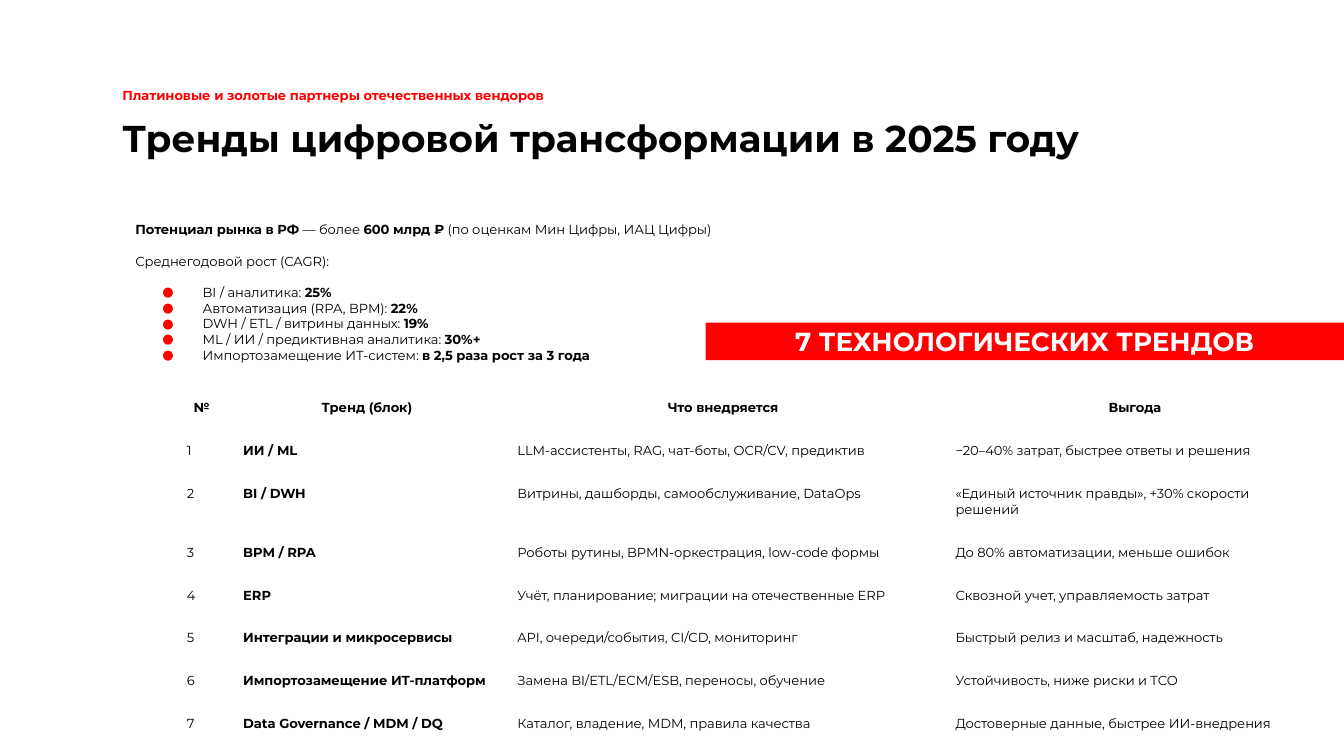
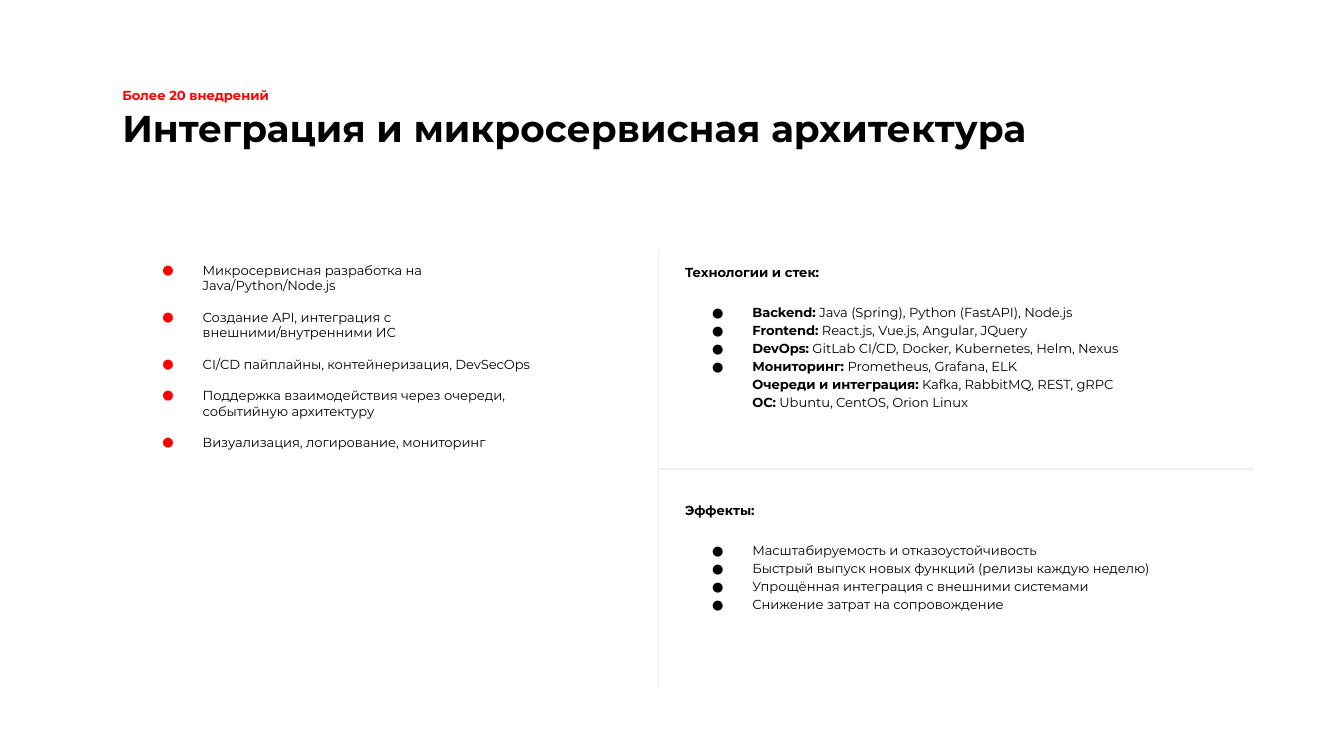
from lxml import etree
from pptx import Presentation
from pptx.dml.color import RGBColor
from pptx.enum.shapes import MSO_CONNECTOR, MSO_SHAPE
from pptx.enum.text import MSO_ANCHOR, MSO_AUTO_SIZE, PP_ALIGN
from pptx.oxml.ns import qn
from pptx.util import Inches, Pt

TOP, MIDDLE = MSO_ANCHOR.TOP, MSO_ANCHOR.MIDDLE
LEFT, CENTER = PP_ALIGN.LEFT, PP_ALIGN.CENTER
FIT_NONE = MSO_AUTO_SIZE.NONE
RECTANGLE = MSO_SHAPE.RECTANGLE
STRAIGHT = MSO_CONNECTOR.STRAIGHT

COLORS = {"text": "000000", "accent": "FF0000", "white": "FFFFFF", "rule": "EFEFEF"}
FONT = "Montserrat"
BODY_SIZE = 7
BLANK_LINE = 8.4
BODY_INSETS = (0.1, 0.1, 0.1, 0.1)
MARGIN = 0.91


def prepare_frame(shape, insets, anchor=TOP):
    frame = shape.text_frame
    frame.word_wrap = True
    frame.auto_size = FIT_NONE
    frame.vertical_anchor = anchor
    frame.margin_left, frame.margin_top, frame.margin_right, frame.margin_bottom = map(Inches, insets)
    return frame


def write(para, text, size=BODY_SIZE, color="text", bullet=None, align=LEFT, spacing=None, before=0, after=0):
    """Fill a paragraph; ** toggles bold and a newline is a line break."""
    para.alignment = align
    para.line_spacing = spacing
    para.space_before, para.space_after = Pt(before), Pt(after)
    if bullet:
        props = para._p.get_or_add_pPr()
        props.set("marL", str(Inches(0.5)))
        props.set("indent", str(Inches(-0.3)))
        bullet_color = etree.SubElement(props, qn("a:buClr"))
        etree.SubElement(bullet_color, qn("a:srgbClr"), val=COLORS[bullet])
        etree.SubElement(props, qn("a:buFont"), typeface=FONT)
        etree.SubElement(props, qn("a:buChar"), char="●")
    for part_number, part in enumerate(text.split("**")):
        for line_number, line in enumerate(part.split("\n")):
            if line_number:
                para.add_line_break()
            if line:
                span = para.add_run()
                span.text = line
                span.font.name = FONT
                span.font.size = Pt(size)
                span.font.bold = part_number % 2 == 1
                span.font.color.rgb = RGBColor.from_string(COLORS[color])


deck = Presentation()
deck.slide_width = Inches(10)
deck.slide_height = deck.slide_width * 9 // 16

# Headings shared by both slides
pages = []
for heading, kicker, title_height, title_anchor in [
    ("Тренды цифровой трансформации в 2025 году",
     "Платиновые и золотые партнеры отечественных вендоров", 0.56, MIDDLE),
    ("Интеграция и микросервисная архитектура", "Более 20 внедрений", 0.93, TOP),
]:
    page = deck.slides.add_slide(deck.slide_layouts[5])
    title = page.shapes.title
    title.left, title.top = Inches(MARGIN), Inches(0.75)
    title.width, title.height = Inches(8.14), Inches(title_height)
    frame = prepare_frame(title, (0, 0.07, 0.07, 0.04), title_anchor)
    write(frame.paragraphs[0], f"**{heading}**", size=20, spacing=0.9)
    box = page.shapes.add_textbox(Inches(MARGIN), Inches(0.59), Inches(4.78), Inches(0.19))
    frame = prepare_frame(box, (0, 0.04, 0.07, 0.04))
    write(frame.paragraphs[0], f"**{kicker}**", color="accent", spacing=1.2)
    pages.append(page)
trends_page, integration_page = pages

# Slide 1: market potential
box = trends_page.shapes.add_textbox(Inches(MARGIN), Inches(1.55), Inches(8.14), Inches(1.26))
frame = prepare_frame(box, BODY_INSETS)
write(frame.paragraphs[0],
      "**Потенциал рынка в РФ** — более **600 млрд ₽** (по оценкам Мин Цифры, ИАЦ Цифры)",
      after=BLANK_LINE)
write(frame.add_paragraph(), "Среднегодовой рост (CAGR):", after=BLANK_LINE)
for growth in [
    "BI / аналитика: **25%**",
    "Автоматизация (RPA, BPM): **22%**",
    "DWH / ETL / витрины данных: **19%**",
    "ML / ИИ / предиктивная аналитика: **30%+**",
    "Импортозамещение ИТ-систем: **в 2,5 раза рост за 3 года**",
]:
    write(frame.add_paragraph(), growth, bullet="accent")

band = trends_page.shapes.add_shape(RECTANGLE, Inches(5.25), Inches(2.4), Inches(4.75), Inches(0.28))
band.shadow.inherit = False
band.fill.solid()
band.fill.fore_color.rgb = RGBColor.from_string(COLORS["accent"])
band.line.fill.background()
frame = prepare_frame(band, BODY_INSETS, MIDDLE)
write(frame.paragraphs[0], "**7 ТЕХНОЛОГИЧЕСКИХ ТРЕНДОВ**", size=14, color="white", align=CENTER)

# Slide 1: trends table
headers = ["№", "Тренд (блок)", "Что внедряется", "Выгода"]
trends = [
    ("ИИ / ML", "LLM‑ассистенты, RAG, чат‑боты, OCR/CV, предиктив",
     "−20–40% затрат, быстрее ответы и решения"),
    ("BI / DWH", "Витрины, дашборды, самообслуживание, DataOps",
     "«Единый источник правды», +30% скорости решений"),
    ("BPM / RPA", "Роботы рутины, BPMN‑оркестрация, low‑code формы",
     "До 80% автоматизации, меньше ошибок"),
    ("ERP", "Учёт, планирование; миграции на отечественные ERP",
     "Сквозной учет, управляемость затрат"),
    ("Интеграции и микросервисы", "API, очереди/события, CI/CD, мониторинг",
     "Быстрый релиз и масштаб, надежность"),
    ("Импортозамещение ИТ‑платформ", "Замена BI/ETL/ECM/ESB, переносы, обучение",
     "Устойчивость, ниже риски и TCO"),
    ("Data Governance / MDM / DQ", "Каталог, владение, MDM, правила качества",
     "Достоверные данные, быстрее ИИ‑внедрения"),
]
column_widths = [0.42, 2.04, 3.26, 2.87]
row_heights = [0.27, 0.26, 0.35, 0.26, 0.31, 0.26, 0.26, 0.26]
table = trends_page.shapes.add_table(
    len(row_heights), len(column_widths), Inches(1.29), Inches(2.86),
    Inches(sum(column_widths)), Inches(sum(row_heights))).table
table.first_row = table.horz_banding = False
for column, width in zip(table.columns, column_widths):
    column.width = Inches(width)
for row, height in zip(table.rows, row_heights):
    row.height = Inches(height)

rows = [headers] + [(str(number), *trend) for number, trend in enumerate(trends, 1)]
for row_number, values in enumerate(rows):
    for column_number, value in enumerate(values):
        cell = table.cell(row_number, column_number)
        cell.fill.background()
        cell.margin_left = cell.margin_right = cell.margin_top = cell.margin_bottom = Inches(0.1)
        is_header = row_number == 0
        text = f"**{value}**" if is_header or column_number == 1 else value
        write(cell.text_frame.paragraphs[0], text,
              align=CENTER if is_header else LEFT, spacing=1.15 if is_header else None)

# Slide 2: services
services = [
    "Микросервисная разработка на Java/Python/Node.js",
    "Создание API, интеграция с внешними/внутренними ИС",
    "CI/CD пайплайны, контейнеризация, DevSecOps",
    "Поддержка взаимодействия через очереди, событийную архитектуру",
    "Визуализация, логирование, мониторинг",
]
box = integration_page.shapes.add_textbox(Inches(MARGIN), Inches(1.85), Inches(3.28), Inches(1.62))
frame = prepare_frame(box, BODY_INSETS)
for number, service in enumerate(services):
    para = frame.add_paragraph() if number else frame.paragraphs[0]
    write(para, service, bullet="accent", after=BLANK_LINE)

# Slide 2: dividers and the two blocks on the right
for start_x, start_y, end_x, end_y in [(4.9, 3.49, 9.33, 3.49), (4.9, 5.12, 4.9, 1.85)]:
    divider = integration_page.shapes.add_connector(
        STRAIGHT, Inches(start_x), Inches(start_y), Inches(end_x), Inches(end_y))
    divider.line.color.rgb = RGBColor.from_string(COLORS["rule"])
    divider.line.width = Pt(0.75)
    etree.SubElement(divider._element.spPr, qn("a:effectLst"))

stack = [
    "**Backend:** Java (Spring), Python (FastAPI), Node.js",
    "**Frontend:** React.js, Vue.js, Angular, JQuery",
    "**DevOps:** GitLab CI/CD, Docker, Kubernetes, Helm, Nexus",
    "**Мониторинг:** Prometheus, Grafana, ELK\n"
    "**Очереди и интеграция:** Kafka, RabbitMQ, REST, gRPC\n"
    "**ОС:** Ubuntu, CentOS, Orion Linux",
]
effects = [
    "Масштабируемость и отказоустойчивость",
    "Быстрый выпуск новых функций (релизы каждую неделю)",
    "Упрощённая интеграция с внешними системами",
    "Снижение затрат на сопровождение",
]
for heading, items, top, height in [
    ("Технологии и стек:", stack, 1.85, 1.3),
    ("Эффекты:", effects, 3.62, 1.03),
]:
    box = integration_page.shapes.add_textbox(Inches(5), Inches(top), Inches(4.33), Inches(height))
    frame = prepare_frame(box, BODY_INSETS)
    write(frame.paragraphs[0], f"**{heading}**", spacing=1.15)
    for number, item in enumerate(items):
        write(frame.add_paragraph(), item, bullet="text", spacing=1.15, before=0 if number else 12)

deck.save("out.pptx")
